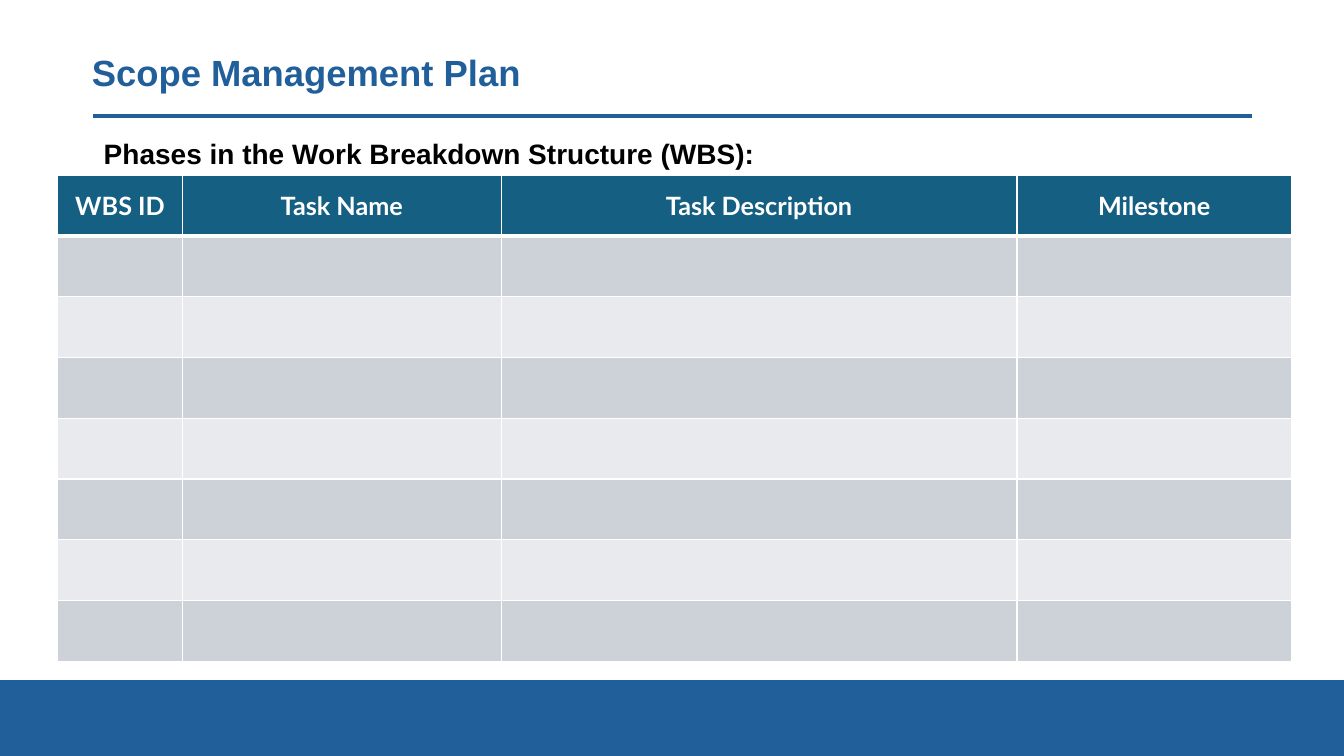
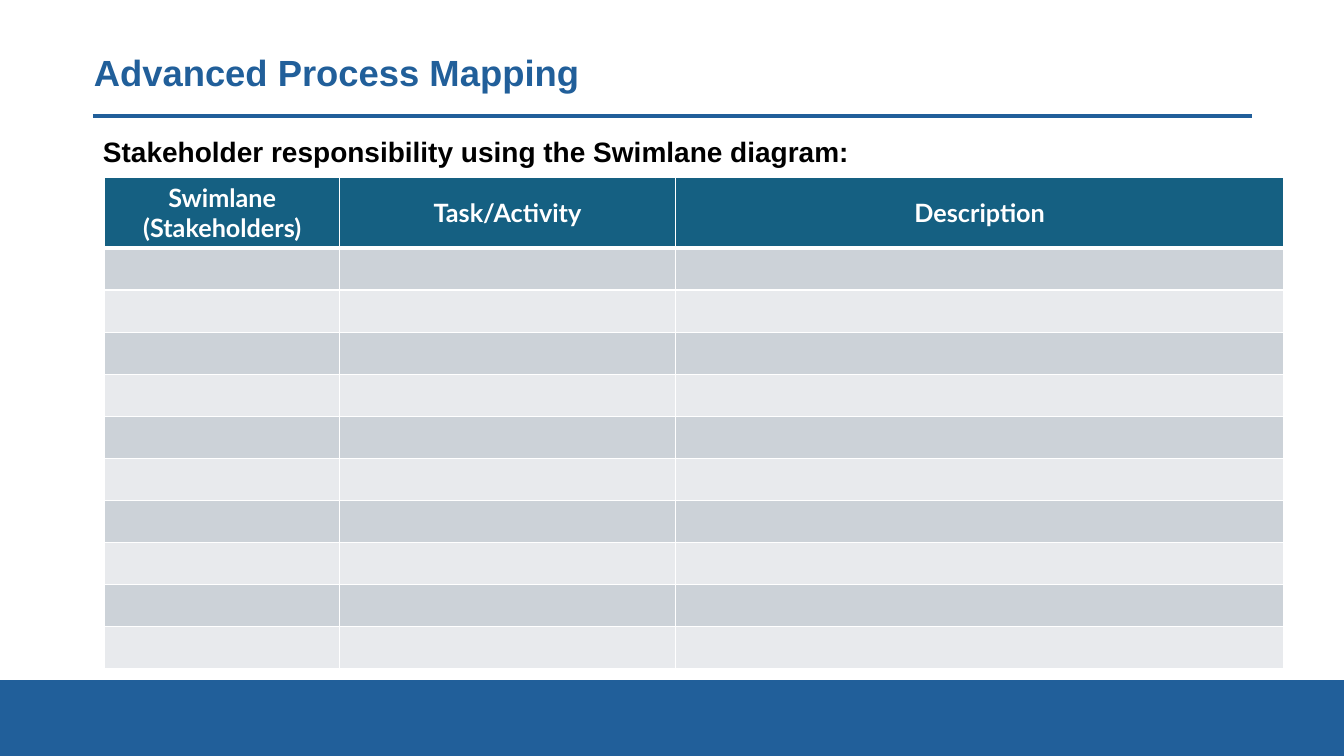
from pptx import Presentation
from pptx.dml.color import RGBColor
from pptx.enum.shapes import MSO_CONNECTOR as CONN, MSO_SHAPE as SHAPE
from pptx.enum.text import MSO_ANCHOR as ANCHOR, MSO_AUTO_SIZE as AUTO, PP_ALIGN as ALIGN
from pptx.oxml import parse_xml
from pptx.oxml.ns import nsdecls
from pptx.util import Cm, Pt


def rgb(value):
    """Turn a hex string into a colour."""
    return RGBColor.from_string(value)


def element(tag, attrs="", inner=""):
    """Make one DrawingML element."""
    return parse_xml(f'<a:{tag} {nsdecls("a")} {attrs}>{inner}</a:{tag}>')


def put_text(tf, text, size=18, font="Arial", color="000000", bold=True,
             align=ALIGN.LEFT, spacing=1.0, after=0):
    """Write one formatted paragraph into a text frame."""
    p = tf.paragraphs[0]
    p.alignment = align
    p.line_spacing = spacing
    p.space_before, p.space_after = Pt(0), Pt(after)
    r = p.add_run()
    r.text = text
    r.font.size, r.font.name, r.font.bold = Pt(size), font, bold
    r.font.color.rgb = rgb(color)
    return p


class Deck:
    """Hold the shared style and the current slide."""

    BLUE, HEAD, WHITE = "215F9A", "156082", "FFFFFF"
    BANDS = ("CCD2D8", "E8EAED")
    TITLE_FONT, TABLE_FONT = "Arial", "Lato"

    def __init__(self):
        """Start a widescreen presentation."""
        self.prs = Presentation()
        self.prs.slide_width, self.prs.slide_height = Cm(33.87), Cm(19.05)
        self.s = None

    def add_slide(self, title, left):
        """Add a slide with its title, rule and footer band."""
        self.s = self.prs.slides.add_slide(self.prs.slide_layouts[1])
        self.band()
        self.rule()
        tf = self.place(self.s.shapes.title, left, 0.94, 29.21, 1.9)
        tf.vertical_anchor = ANCHOR.MIDDLE
        put_text(tf, title, size=26, font=self.TITLE_FONT, color=self.BLUE, spacing=0.9)

    def place(self, sp, left, top, width, height):
        """Move a placeholder and return its text frame."""
        sp.left, sp.top, sp.width, sp.height = map(Cm, (left, top, width, height))
        tf = sp.text_frame
        tf.word_wrap, tf.auto_size = True, AUTO.NONE
        return tf

    def band(self):
        """Draw the footer band."""
        sp = self.s.shapes.add_shape(SHAPE.RECTANGLE, 0, Cm(17.15),
                                     self.prs.slide_width, Cm(1.9))
        sp.shadow.inherit = False
        sp.fill.solid()
        sp.fill.fore_color.rgb = sp.line.color.rgb = rgb(self.BLUE)
        sp.line.width = Pt(1.5)

    def rule(self):
        """Draw the line under the title."""
        line = self.s.shapes.add_connector(CONN.STRAIGHT, Cm(2.34), Cm(2.92),
                                           Cm(31.55), Cm(2.92))
        line.line.color.rgb = rgb(self.BLUE)
        line.line.width = Pt(3)
        line._element.spPr.append(element("effectLst"))

    def lead(self, text, left, top, width, height, **style):
        """Write the lead sentence in the body placeholder."""
        tf = self.place(self.s.placeholders[1], left, top, width, height)
        p = put_text(tf, text, size=20, **style)
        pPr = p._p.get_or_add_pPr()
        pPr.set("marL", "0")
        pPr.set("indent", "0")
        pPr.append(element("buNone"))

    def borders(self, cell, top=1, bottom=1):
        """Give a cell white borders, widths in points."""
        tcPr = cell._tc.get_or_add_tcPr()
        fill = f'<a:solidFill><a:srgbClr val="{self.WHITE}"/></a:solidFill>'
        for side, width in (("L", 1), ("R", 1), ("T", top), ("B", bottom)):
            tcPr.append(element(f"ln{side}", f'w="{Pt(width)}"', fill))

    def table(self, left, top, heads, widths, head_height, row_height, count):
        """Add a table with a header and empty striped rows."""
        heights = [head_height] + [row_height] * count
        table = self.s.shapes.add_table(count + 1, len(heads), Cm(left), Cm(top),
                                        Cm(sum(widths)), Cm(sum(heights))).table
        table.horz_banding = False
        for column, width in zip(table.columns, widths):
            column.width = Cm(width)
        for i, (row, height) in enumerate(zip(table.rows, heights)):
            row.height = Cm(height)
            for cell, head in zip(row.cells, heads):
                self.borders(cell, top=3 if i == 1 else 1, bottom=3 if i == 0 else 1)
                cell.fill.solid()
                cell.fill.fore_color.rgb = rgb(self.BANDS[(i - 1) % 2] if i else self.HEAD)
                if i == 0:
                    cell.vertical_anchor = ANCHOR.MIDDLE
                    put_text(cell.text_frame, head, font=self.TABLE_FONT,
                             color=self.WHITE, align=ALIGN.CENTER)


def main():
    """Build both slides and save them."""
    deck = Deck()

    deck.add_slide("Scope Management Plan", left=2.06)
    deck.lead("Phases in the Work Breakdown Structure (WBS):",
              2.36, 3.28, 16.99, 1.02, spacing=1.05, after=8)
    deck.table(1.45, 4.42, ("WBS ID", "Task Name", "Task Description", "Milestone"),
               (3.15, 8.03, 13, 6.91), head_height=1.53, row_height=1.53, count=7)

    deck.add_slide("Advanced Process Mapping", left=2.11)
    deck.lead("Stakeholder responsibility using the Swimlane diagram:",
              2.34, 3.35, 29.21, 13.41, spacing=0.9)
    deck.table(2.64, 4.47, ("Swimlane (Stakeholders)", "Task/Activity", "Description"),
               (5.92, 8.46, 15.34), head_height=1.73, row_height=1.06, count=10)

    deck.prs.save("out.pptx")


if __name__ == "__main__":
    main()
